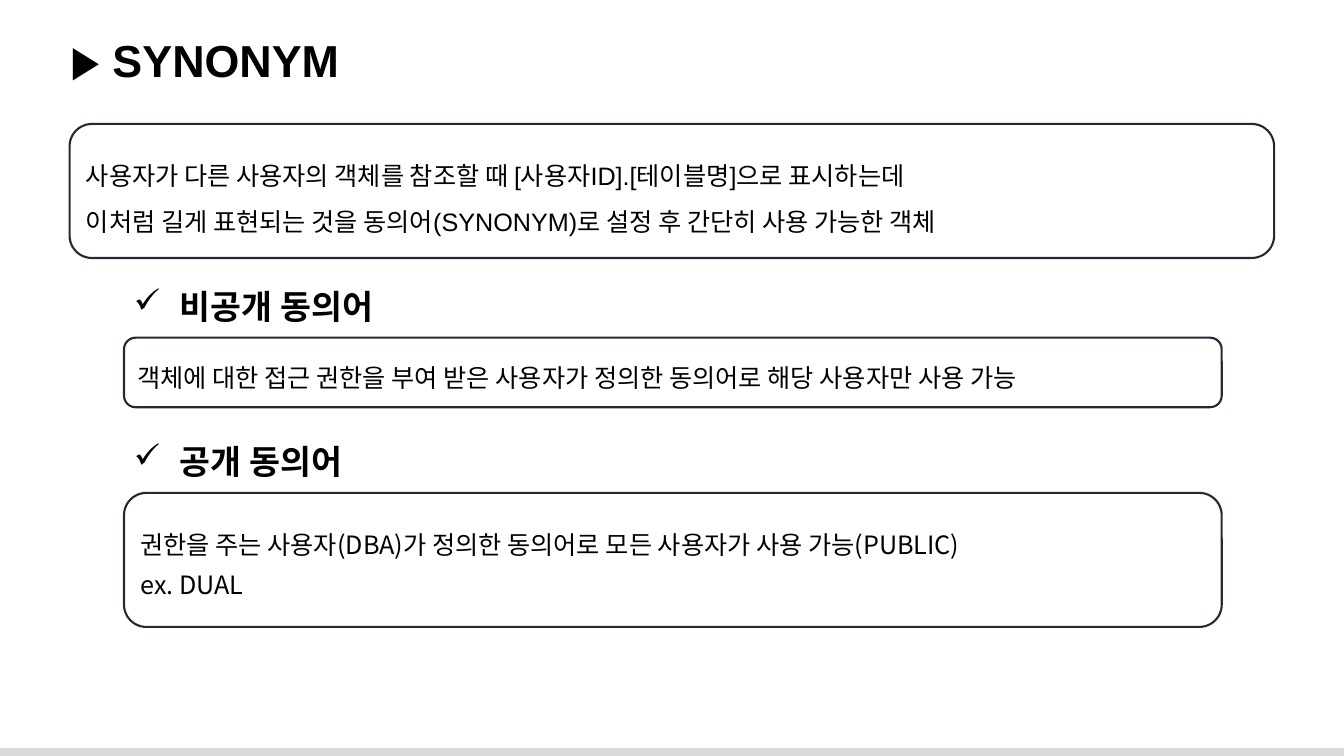
from dataclasses import dataclass
from lxml.etree import SubElement
from pptx import Presentation
from pptx.dml.color import RGBColor
from pptx.enum.shapes import MSO_SHAPE as Preset
from pptx.enum.text import MSO_ANCHOR as Anchor, MSO_AUTO_SIZE as AutoSize, PP_ALIGN as Align
from pptx.oxml.ns import qn
from pptx.util import Inches, Pt


@dataclass(frozen=True)
class Theme:
    """Colours, fonts and type sizes of the slide."""
    ink: RGBColor = RGBColor(0, 0, 0)
    outline: RGBColor = RGBColor(0x22, 0x2A, 0x35)
    footer: RGBColor = RGBColor(0xD9, 0xD9, 0xD9)
    heading_font: str = "Arial"
    body_font: str = "Noto Sans CJK KR"
    title_size: int = 32
    heading_size: int = 24
    body_size: int = 18
    outline_width: float = 1.5


@dataclass(frozen=True)
class Box:
    """Area measured in grid columns and rows."""
    left: float
    top: float
    width: float
    height: float

    def place(self):
        """Return the area as lengths on the slide."""
        return [Inches(cells * CELL) for cells in (self.left, self.top, self.width, self.height)]


THEME = Theme()
CELL = 0.1
COLUMNS, ROWS = 133.33, 75
HEADING_ROWS, BODY_OFFSET = 5, 5.6
SECTIONS = [
    (Box(12.3, 27.9, 108.9, 12.5), "비공개 동의어",
     ["객체에 대한 접근 권한을 부여 받은 사용자가 정의한 동의어로 해당 사용자만 사용 가능"]),
    (Box(12.3, 43.3, 108.9, 18.9), "공개 동의어",
     ["권한을 주는 사용자(DBA)가 정의한 동의어로 모든 사용자가 사용 가능(PUBLIC)", "ex. DUAL"]),
]


def write_lines(frame, lines, size, font, bold=False, spacing=1.0):
    """Fill a text frame with one paragraph per line."""
    for index, line in enumerate(lines):
        paragraph = frame.paragraphs[0] if index == 0 else frame.add_paragraph()
        paragraph.text = line
        paragraph.alignment = Align.LEFT
        paragraph.line_spacing = spacing
        paragraph.font.size = Pt(size)
        paragraph.font.name = font
        paragraph.font.bold = bold
        paragraph.font.color.rgb = THEME.ink


def add_check_bullet(paragraph):
    """Give a paragraph a hanging check mark."""
    properties = paragraph._p.get_or_add_pPr()
    indent = Inches(0.38)
    properties.set("marL", str(indent))
    properties.set("indent", str(-indent))
    bullet = SubElement(properties, qn("a:buChar"))
    bullet.set("char", "✓")
    properties.insert_element_before(bullet, "a:tabLst", "a:defRPr", "a:extLst")


def add_heading(shapes, box, text, size, wrap):
    """Add a bold heading and return its paragraph."""
    frame = shapes.add_textbox(*box.place()).text_frame
    frame.word_wrap = wrap
    frame.auto_size = AutoSize.SHAPE_TO_FIT_TEXT
    write_lines(frame, [text], size, THEME.heading_font, bold=True)
    return frame.paragraphs[0]


def add_panel(shapes, box, lines, font, spacing):
    """Add an outlined rounded panel with body text."""
    panel = shapes.add_shape(Preset.ROUNDED_RECTANGLE, *box.place())
    panel.shadow.inherit = False
    panel.fill.background()
    panel.line.color.rgb = THEME.outline
    panel.line.width = Pt(THEME.outline_width)
    frame = panel.text_frame
    frame.word_wrap = True
    frame.vertical_anchor = Anchor.MIDDLE
    write_lines(frame, lines, THEME.body_size, font, spacing=spacing)


def add_section(slide, box, heading, lines):
    """Group a checked heading with the panel below it."""
    shapes = slide.shapes.add_group_shape().shapes
    heading_box = Box(box.left, box.top, box.width / 4, HEADING_ROWS)
    add_check_bullet(add_heading(shapes, heading_box, " " + heading, THEME.heading_size, False))
    panel_box = Box(box.left, box.top + BODY_OFFSET, box.width, box.height - BODY_OFFSET)
    add_panel(shapes, panel_box, lines, THEME.body_font, 1.3)


def add_footer(slide, box):
    """Add the plain strip along the bottom edge."""
    strip = slide.shapes.add_shape(Preset.RECTANGLE, *box.place())
    strip.shadow.inherit = False
    strip.fill.solid()
    strip.fill.fore_color.rgb = THEME.footer
    strip.line.fill.background()


def build_synonym_slide(presentation):
    """Add the slide that explains synonyms."""
    slide = presentation.slides.add_slide(presentation.slide_layouts[6])
    add_footer(slide, Box(0, ROWS - 0.8, COLUMNS, 0.8))
    add_heading(slide.shapes, Box(6, 2.8, 126, 6.4), "▶ SYNONYM", THEME.title_size, True)
    definition = [
        "사용자가 다른 사용자의 객체를 참조할 때 [사용자ID].[테이블명]으로 표시하는데",
        "이처럼 길게 표현되는 것을 동의어(SYNONYM)로 설정 후 간단히 사용 가능한 객체",
    ]
    add_panel(slide.shapes, Box(6.9, 12.3, 119.5, 13.3), definition, THEME.heading_font, 1.5)
    for box, heading, lines in SECTIONS:
        add_section(slide, box, heading, lines)


presentation = Presentation()
presentation.slide_width = Inches(COLUMNS * CELL)
presentation.slide_height = Inches(ROWS * CELL)
build_synonym_slide(presentation)
presentation.save("out.pptx")
